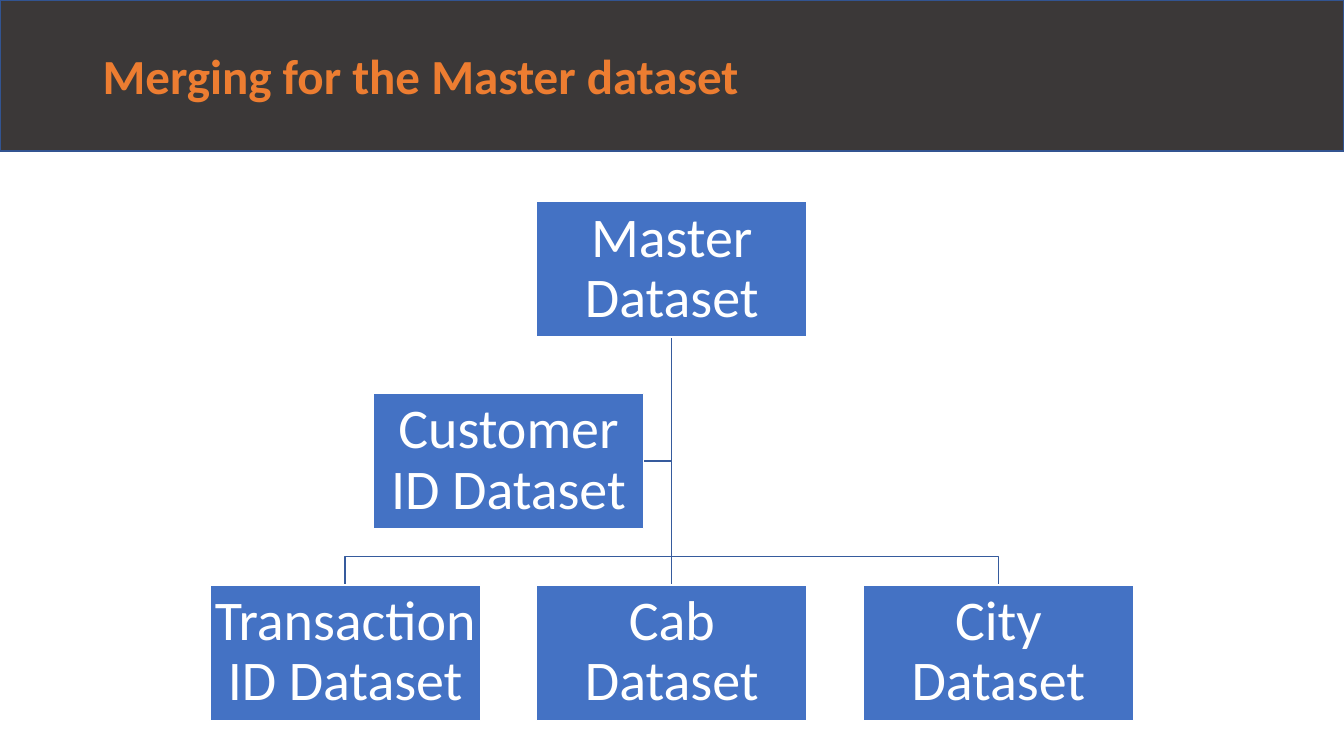
from pptx import Presentation
from pptx.dml.color import RGBColor
from pptx.enum.shapes import MSO_CONNECTOR, MSO_SHAPE
from pptx.enum.text import MSO_ANCHOR, MSO_AUTO_SIZE, PP_ALIGN
from pptx.oxml.ns import qn
from pptx.util import Cm, Pt
from lxml.etree import SubElement

WHITE = RGBColor(0xFF, 0xFF, 0xFF)
CHARCOAL = RGBColor(0x3B, 0x38, 0x38)
BAND_EDGE = RGBColor(0x32, 0x54, 0x91)
ORANGE = RGBColor(0xED, 0x7D, 0x31)
BLUE = RGBColor(0x44, 0x72, 0xC4)
BRANCH_BLUE = RGBColor(0x36, 0x5B, 0x9D)

SLIDE_WIDTH, SLIDE_HEIGHT = 33.87, 19.05
BOX_WIDTH, BOX_HEIGHT = 6.82, 3.41
CENTER = 16.93
COLUMN_PITCH = 8.23
MASTER_TOP, ASSISTANT_TOP, CHILD_TOP = 5.08, 9.91, 14.74
BRANCH_Y = 14.02


class ChartSlide:
    font_name = "Calibri"
    line_width = Pt(1)

    def __init__(self, presentation):
        self.slide = presentation.slides.add_slide(presentation.slide_layouts[5])
        self.shapes = self.slide.shapes

    def set_text(self, shape, text, frame_format, paragraph_format, font_format, color):
        frame = shape.text_frame
        frame.text = text
        paragraph = frame.paragraphs[0]
        base_frame = {"word_wrap": True, "auto_size": MSO_AUTO_SIZE.NONE,
                      "vertical_anchor": MSO_ANCHOR.MIDDLE}
        for target, values in (
            (frame, base_frame | frame_format),
            (paragraph, {"line_spacing": 0.9} | paragraph_format),
            (paragraph.font, {"name": self.font_name} | font_format),
        ):
            for name, value in values.items():
                setattr(target, name, value)
        paragraph.font.color.rgb = color

    def outline(self, shape, color):
        shape.line.color.rgb = color
        shape.line.width = self.line_width

    def rectangle(self, left, top, width, height, fill, line):
        shape = self.shapes.add_shape(
            MSO_SHAPE.RECTANGLE, Cm(left), Cm(top), Cm(width), Cm(height))
        shape.shadow.inherit = False
        shape.fill.solid()
        shape.fill.fore_color.rgb = fill
        self.outline(shape, line)
        return shape

    def band(self, height):
        shape = self.rectangle(0, 0, SLIDE_WIDTH, height, CHARCOAL, BAND_EDGE)
        self.shapes.title.element.addprevious(shape.element)

    def title(self, text):
        title = self.shapes.title
        place = {"left": Cm(2.33), "top": Cm(0.13), "width": Cm(29.21), "height": Cm(3.68)}
        for name, value in place.items():
            setattr(title, name, value)
        self.set_text(title, text, {}, {"alignment": PP_ALIGN.LEFT},
                      {"size": Pt(35), "bold": True}, ORANGE)

    def box(self, text, center, top):
        shape = self.rectangle(center - BOX_WIDTH / 2, top, BOX_WIDTH, BOX_HEIGHT, BLUE, WHITE)
        sides = ("left", "right", "top", "bottom")
        self.set_text(shape, text, {f"margin_{side}": Cm(0.07) for side in sides},
                      {"alignment": PP_ALIGN.CENTER}, {"size": Pt(40)}, WHITE)

    def trunk(self, x, top, bottom):
        connector = self.shapes.add_connector(
            MSO_CONNECTOR.STRAIGHT, Cm(x), Cm(top), Cm(x), Cm(bottom))
        self.outline(connector, BRANCH_BLUE)
        SubElement(connector.element.spPr, qn("a:effectLst"))

    def branch(self, *points):
        start, *rest = [(Cm(x), Cm(y)) for x, y in points]
        builder = self.shapes.build_freeform(*start)
        builder.add_line_segments(rest, close=False)
        shape = builder.convert_to_shape()
        shape.shadow.inherit = False
        shape.fill.background()
        self.outline(shape, BRANCH_BLUE)


def main():
    presentation = Presentation()
    presentation.slide_width = Cm(SLIDE_WIDTH)
    presentation.slide_height = Cm(SLIDE_HEIGHT)
    chart = ChartSlide(presentation)
    chart.band(3.81)
    chart.title("Merging for the Master dataset")

    trunk_top = MASTER_TOP + BOX_HEIGHT
    assistant_center = CENTER - COLUMN_PITCH / 2
    assistant_middle = ASSISTANT_TOP + BOX_HEIGHT / 2
    children = {
        "Transaction ID Dataset": CENTER - COLUMN_PITCH,
        "Cab Dataset": CENTER,
        "City Dataset": CENTER + COLUMN_PITCH,
    }

    chart.branch((CENTER, trunk_top), (CENTER, assistant_middle),
                 (assistant_center + BOX_WIDTH / 2, assistant_middle))
    for center in children.values():
        if center == CENTER:
            chart.trunk(CENTER, trunk_top, CHILD_TOP)
        else:
            chart.branch((CENTER, trunk_top), (CENTER, BRANCH_Y),
                         (center, BRANCH_Y), (center, CHILD_TOP))

    chart.box("Master Dataset", CENTER, MASTER_TOP)
    for text, center in children.items():
        chart.box(text, center, CHILD_TOP)
    chart.box("Customer ID Dataset", assistant_center, ASSISTANT_TOP)

    presentation.save("out.pptx")


if __name__ == "__main__":
    main()
